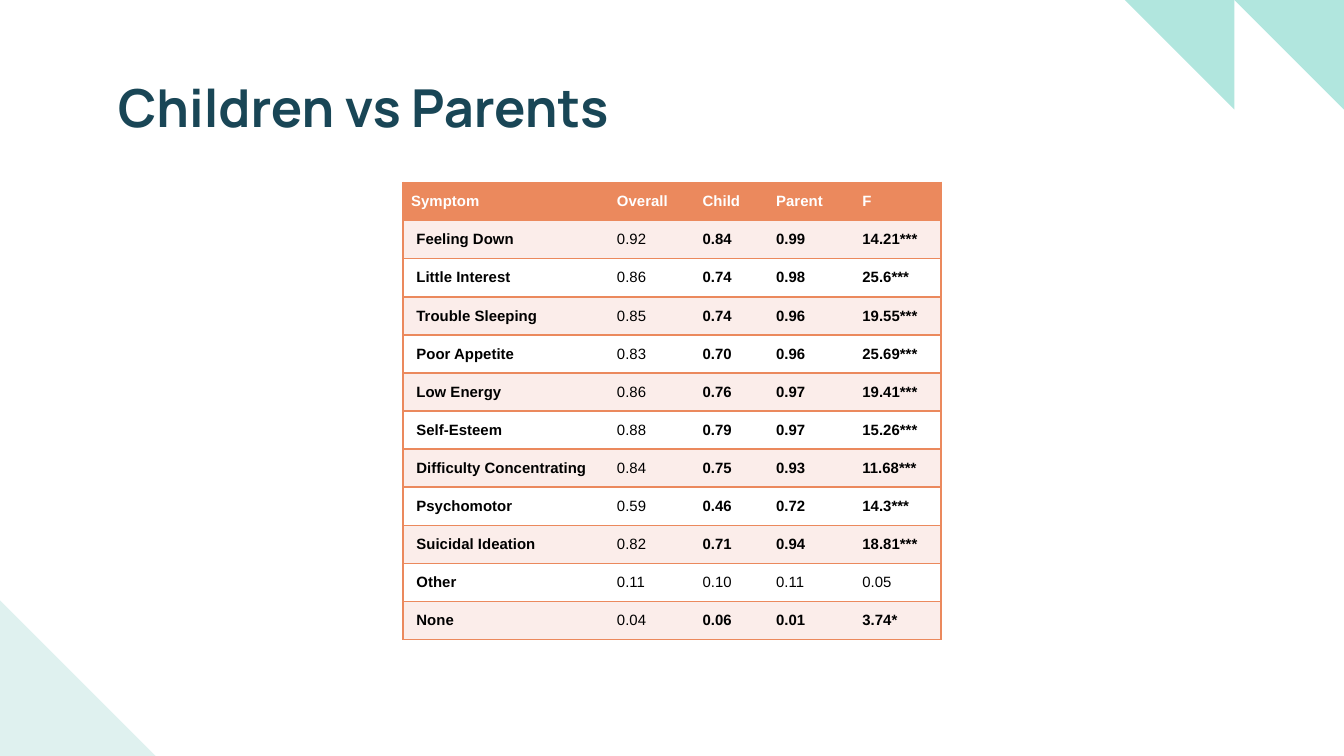
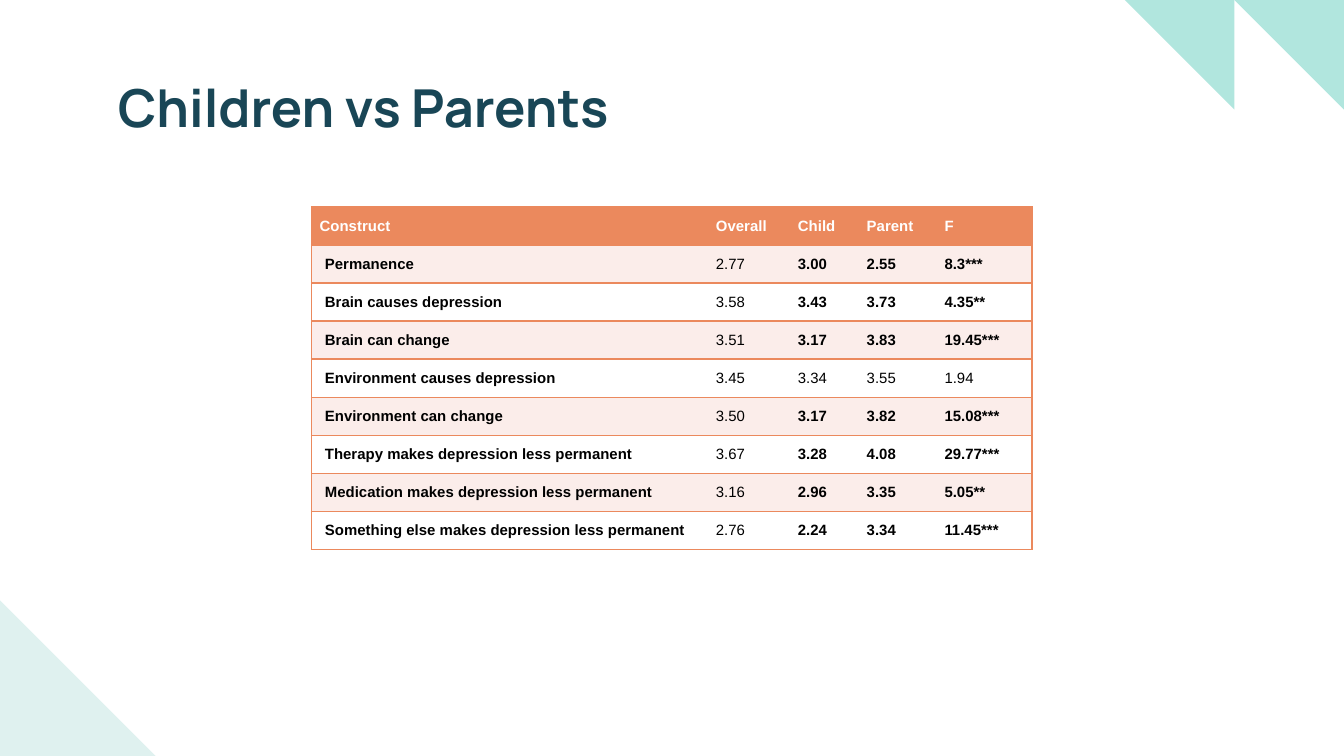
import pptx
import pptx.dml.color
import pptx.enum.shapes
import pptx.enum.text
import pptx.oxml
import pptx.oxml.ns
import pptx.util

Cm = pptx.util.Cm
RGBColor = pptx.dml.color.RGBColor
MIDDLE = pptx.enum.text.MSO_ANCHOR.MIDDLE
RIGHT_TRIANGLE = pptx.enum.shapes.MSO_SHAPE.RIGHT_TRIANGLE

NAVY = RGBColor(0x19, 0x46, 0x56)
MINT = RGBColor(0xB1, 0xE6, 0xDE)
PALE_MINT = RGBColor(0xDF, 0xF1, 0xEF)
ORANGE = RGBColor(0xEB, 0x89, 0x5D)
PALE_ORANGE = RGBColor(0xFB, 0xED, 0xEA)
WHITE = RGBColor(0xFF, 0xFF, 0xFF)
BLACK = RGBColor(0x00, 0x00, 0x00)

NO_STYLE = "{2D5ABB26-0587-4C30-8999-92F81FD0307C}"
ROW_HEIGHT = 0.72

# left, top, size, rotation, colour
CORNERS = [
    (23.33, 0, 2.07, 180, MINT),
    (21.26, 0, 2.07, 180, MINT),
    (0, 11.35, 2.94, 0, PALE_MINT),
]

SYMPTOMS = [
    ("Symptom", "Overall", "Child", "Parent", "F"),
    ("Feeling Down", "0.92", "0.84", "0.99", "14.21***"),
    ("Little Interest", "0.86", "0.74", "0.98", "25.6***"),
    ("Trouble Sleeping", "0.85", "0.74", "0.96", "19.55***"),
    ("Poor Appetite", "0.83", "0.70", "0.96", "25.69***"),
    ("Low Energy", "0.86", "0.76", "0.97", "19.41***"),
    ("Self-Esteem", "0.88", "0.79", "0.97", "15.26***"),
    ("Difficulty Concentrating", "0.84", "0.75", "0.93", "11.68***"),
    ("Psychomotor", "0.59", "0.46", "0.72", "14.3***"),
    ("Suicidal Ideation", "0.82", "0.71", "0.94", "18.81***"),
    ("Other", "0.11", "0.10", "0.11", "0.05"),
    ("None", "0.04", "0.06", "0.01", "3.74*"),
]
CONSTRUCTS = [
    ("Construct", "Overall", "Child", "Parent", "F"),
    ("Permanence", "2.77", "3.00", "2.55", "8.3***"),
    ("Brain causes depression", "3.58", "3.43", "3.73", "4.35**"),
    ("Brain can change", "3.51", "3.17", "3.83", "19.45***"),
    ("Environment causes depression", "3.45", "3.34", "3.55", "1.94"),
    ("Environment can change", "3.50", "3.17", "3.82", "15.08***"),
    ("Therapy makes depression less permanent", "3.67", "3.28", "4.08", "29.77***"),
    ("Medication makes depression less permanent", "3.16", "2.96", "3.35", "5.05**"),
    ("Something else makes depression less permanent", "2.76", "2.24", "3.34", "11.45***"),
]

# title, table left, table top, column widths, rows
SLIDES = [
    ("Children vs Parents", 7.62, 3.45, (3.79, 1.62, 1.39, 1.63, 1.73), SYMPTOMS),
    ("Children vs Parents", 5.89, 3.91, (7.39, 1.55, 1.3, 1.47, 1.9), CONSTRUCTS),
]


def write(tf, text, font="Arial", size=8, color=BLACK, bold=False):
    r = tf.paragraphs[0].add_run()
    r.text = text
    r.font.name = font
    r.font.size = pptx.util.Pt(size)
    r.font.color.rgb = color
    r.font.bold = bold


def add_borders(cell, sides):
    """Draw 1 pt orange borders; sides are letters in the order L, R, T, B."""
    for side in sides:
        cell._tc.get_or_add_tcPr().append(pptx.oxml.parse_xml(
            f'<a:ln{side} {pptx.oxml.ns.nsdecls("a")} w="12700"><a:solidFill>'
            f'<a:srgbClr val="{ORANGE}"/></a:solidFill></a:ln{side}>'))


prs = pptx.Presentation()
prs.slide_width = Cm(25.4)
prs.slide_height = Cm(14.29)

for title, left, top, widths, rows in SLIDES:
    slide = prs.slides.add_slide(prs.slide_layouts[6])

    for x, y, size, rotation, color in CORNERS:
        sp = slide.shapes.add_shape(RIGHT_TRIANGLE, Cm(x), Cm(y), Cm(size), Cm(size))
        sp.rotation = rotation
        sp.shadow.inherit = False
        sp.fill.solid()
        sp.fill.fore_color.rgb = color
        sp.line.fill.background()

    tf = slide.shapes.add_textbox(Cm(1.98), Cm(1.24), Cm(21.46), Cm(1.6)).text_frame
    tf.word_wrap = True
    tf.margin_left = tf.margin_right = tf.margin_bottom = Cm(0.25)
    tf.margin_top = Cm(0.18)
    write(tf, title, font="Manrope", size=28, color=NAVY, bold=True)

    table = slide.shapes.add_table(
        len(rows), len(widths), Cm(left), Cm(top),
        Cm(sum(widths)), Cm(ROW_HEIGHT * len(rows))).table
    table._tbl.tblPr.find(pptx.oxml.ns.qn("a:tableStyleId")).text = NO_STYLE
    for column, width in zip(table.columns, widths):
        column.width = Cm(width)

    for i, values in enumerate(rows):
        table.rows[i].height = Cm(ROW_HEIGHT)
        header = i == 0
        significant = values[-1].endswith("*")
        for j, value in enumerate(values):
            cell = table.cell(i, j)
            add_borders(cell, {0: "LTB", len(widths) - 1: "RTB"}.get(j, "TB"))
            cell.fill.solid()
            cell.fill.fore_color.rgb = ORANGE if header else PALE_ORANGE if i % 2 else WHITE
            cell.vertical_anchor = MIDDLE
            cell.margin_left = Cm(0.15 if header and j == 0 else 0.25)
            cell.margin_right = Cm(0.15)
            cell.margin_top = cell.margin_bottom = Cm(0.08)
            write(cell.text_frame, value, color=WHITE if header else BLACK,
                  bold=header or j == 0 or (j > 1 and significant))

prs.save("out.pptx")
